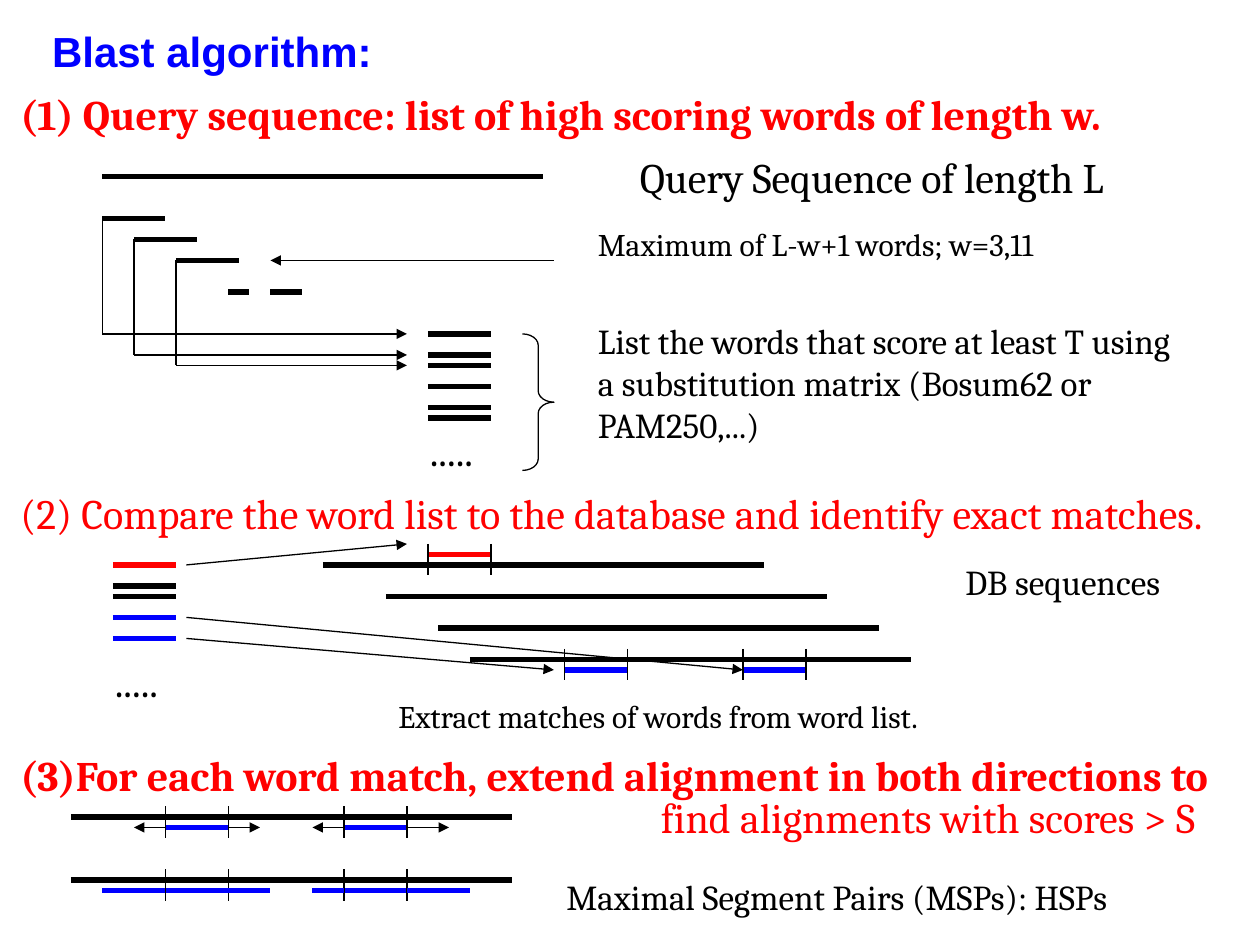
from dataclasses import dataclass

from lxml.etree import SubElement
from pptx import Presentation
from pptx.dml.color import RGBColor
from pptx.enum.shapes import MSO_CONNECTOR, MSO_SHAPE
from pptx.enum.text import MSO_ANCHOR, MSO_AUTO_SIZE, PP_ALIGN
from pptx.oxml.ns import qn
from pptx.util import Cm, Pt

BLACK, RED, BLUE = "000000", "FF0000", "0000FF"
THIN, THICK = 0.75, 3

# Everything sits on a grid of twelve steps to the inch
STEP = 2.54 / 12
LEFT, TOP = 0.16, 0.17
WORD = 6       # length of a word, in steps
SEQUENCE = 42  # length of a sequence, in steps


@dataclass
class Line:
    x1: float
    y1: float
    x2: float
    y2: float
    color: str = BLACK
    width: float = THIN
    arrow: bool = False


@dataclass
class Label:
    text: str
    x: float
    y: float
    width: float  # cm
    size: int = 24
    color: str = BLACK
    bold: bool = False
    height: float = 1.27  # cm


def grid_x(steps: float) -> Cm:
    return Cm(LEFT + steps * STEP)


def grid_y(steps: float) -> Cm:
    return Cm(TOP + steps * STEP)


def rgb(color: str) -> RGBColor:
    return RGBColor.from_string(color)


def bar(x: float, y: float, length: float = WORD, color: str = BLACK) -> Line:
    return Line(x, y, x + length, y, color, THICK)


def arrow(x1: float, y1: float, x2: float, y2: float) -> Line:
    return Line(x1, y1, x2, y2, arrow=True)


def word_limits(x: float, y: float) -> list[Line]:
    """Two ticks, three steps high, at the ends of a word."""
    return [Line(end, y, end, y + 3) for end in (x, x + WORD)]


def draw_line(slide, line: Line) -> None:
    connector = slide.shapes.add_connector(
        MSO_CONNECTOR.STRAIGHT, grid_x(line.x1), grid_y(line.y1),
        grid_x(line.x2), grid_y(line.y2))
    connector.line.color.rgb = rgb(line.color)
    connector.line.width = Pt(line.width)
    properties = connector._element.spPr
    if line.arrow:
        SubElement(properties.find(qn("a:ln")), qn("a:tailEnd"), type="triangle")
    SubElement(properties, qn("a:effectLst"))


def fill_text(shape, label: Label, font_name: str = "Cambria") -> None:
    shape.left, shape.top = grid_x(label.x), grid_y(label.y)
    shape.width, shape.height = Cm(label.width), Cm(label.height)
    frame = shape.text_frame
    frame.word_wrap = True
    frame.auto_size = MSO_AUTO_SIZE.NONE
    frame.vertical_anchor = MSO_ANCHOR.TOP
    frame.text = label.text
    paragraph = frame.paragraphs[0]
    paragraph.alignment = PP_ALIGN.LEFT
    font = paragraph.font
    font.name, font.size, font.bold = font_name, Pt(label.size), label.bold
    font.color.rgb = rgb(label.color)


def draw_label(slide, label: Label) -> None:
    fill_text(slide.shapes.add_textbox(0, 0, Cm(1), Cm(1)), label)


def draw_brace(slide) -> None:
    brace = slide.shapes.add_shape(
        MSO_SHAPE.RIGHT_BRACE, grid_x(49), grid_y(31), Cm(3 * STEP), Cm(13 * STEP))
    brace.adjustments[0] = 0.36
    brace.shadow.inherit = False
    brace.fill.background()
    brace.line.color.rgb = rgb(BLACK)
    brace.line.width = Pt(THIN)


def word_list_lines() -> list[Line]:
    """Step 1: the query, its words and the high scoring list."""
    lines = [bar(9, 16, SEQUENCE), bar(21, 27, 2), bar(25, 27, 3), arrow(52, 24, 25, 24)]
    for x, y, target in ((9, 20, 31), (12, 22, 33), (16, 24, 34)):
        lines += [bar(x, y), Line(x, y, x, target), arrow(x, target, 38, target)]
    return lines + [bar(40, y) for y in (31, 33, 34, 36, 38, 39)]


def database_lines() -> list[Line]:
    """Step 2: the word list matched against database sequences."""
    words = ((53, RED), (55, BLACK), (56, BLACK), (58, BLUE), (60, BLUE))
    lines = [bar(10, y, color=color) for y, color in words]
    sequences = ((30, 53), (36, 56), (41, 59), (44, 62))
    lines += [bar(x, y, SEQUENCE) for x, y in sequences]
    for x, y, color in ((40, 52, RED), (53, 63, BLUE), (70, 63, BLUE)):
        lines.append(bar(x, y, color=color))
    for x, y in ((40, 51), (53, 61), (70, 61)):
        lines += word_limits(x, y)
    return lines + [arrow(17, 53, 38, 51), arrow(17, 58, 70, 63), arrow(17, 60, 52, 63)]


def extension_lines() -> list[Line]:
    """Step 3: matches before and after extension."""
    matches = (15, 32)
    lines = []
    for y in (77, 83):
        lines.append(bar(6, y, SEQUENCE))
        for x in matches:
            lines += [bar(x, y + 1, color=BLUE), *word_limits(x, y - 1)]
    for x, reach in zip(matches, (3, 4)):
        lines += [arrow(x, 78, x - 3, 78), arrow(x + WORD, 78, x + WORD + reach, 78)]
    extensions = ((9, 6), (21, 4), (29, 3), (38, 6))
    return lines + [bar(x, 84, length, BLUE) for x, length in extensions]


TITLE = Label("Blast algorithm:", 3, 1, 7.62, color=BLUE, bold=True)
LABELS = [
    # Step headings
    Label("(1) Query sequence: list of high scoring words of length w.",
          0, 7, 22.86, color=RED, bold=True),
    Label("(2) Compare the word list to the database and identify exact matches.",
          0, 45, 25.53, color=RED),
    Label("(3)For each word match, extend alignment in both directions to",
          0, 70, 24.56, color=RED, bold=True),
    Label("find alignments with scores > S", 61, 74, 11.86, color=RED),
    # Explanations
    Label("Query Sequence of length L", 59, 13, 10.16),
    Label("Maximum of L-w+1 words; w=3,11", 55, 20, 10.59, 18, height=1.02),
    Label("List the words that score at least T using a substitution matrix "
          "(Bosum62 or PAM250,...)", 55, 29, 12.27, 20, height=2.79),
    Label("DB sequences", 90, 52, 4.65, 20, height=1.1),
    Label("Extract matches of words from word list.", 36, 65, 11.86, 18, height=1.02),
    Label("Maximal Segment Pairs (MSPs): HSPs", 52, 82, 12.7, 20, height=1.1),
    # Continuation dots under both word lists
    Label(".....", 39, 39, 1.7),
    Label(".....", 9, 61, 1.7),
]


def main() -> None:
    presentation = Presentation()
    presentation.slide_width, presentation.slide_height = Cm(25.4), Cm(19.05)
    slide = presentation.slides.add_slide(presentation.slide_layouts[5])
    fill_text(slide.shapes.title, TITLE, "Arial")
    for line in word_list_lines() + database_lines() + extension_lines():
        draw_line(slide, line)
    draw_brace(slide)
    for label in LABELS:
        draw_label(slide, label)
    presentation.save("out.pptx")


if __name__ == "__main__":
    main()
